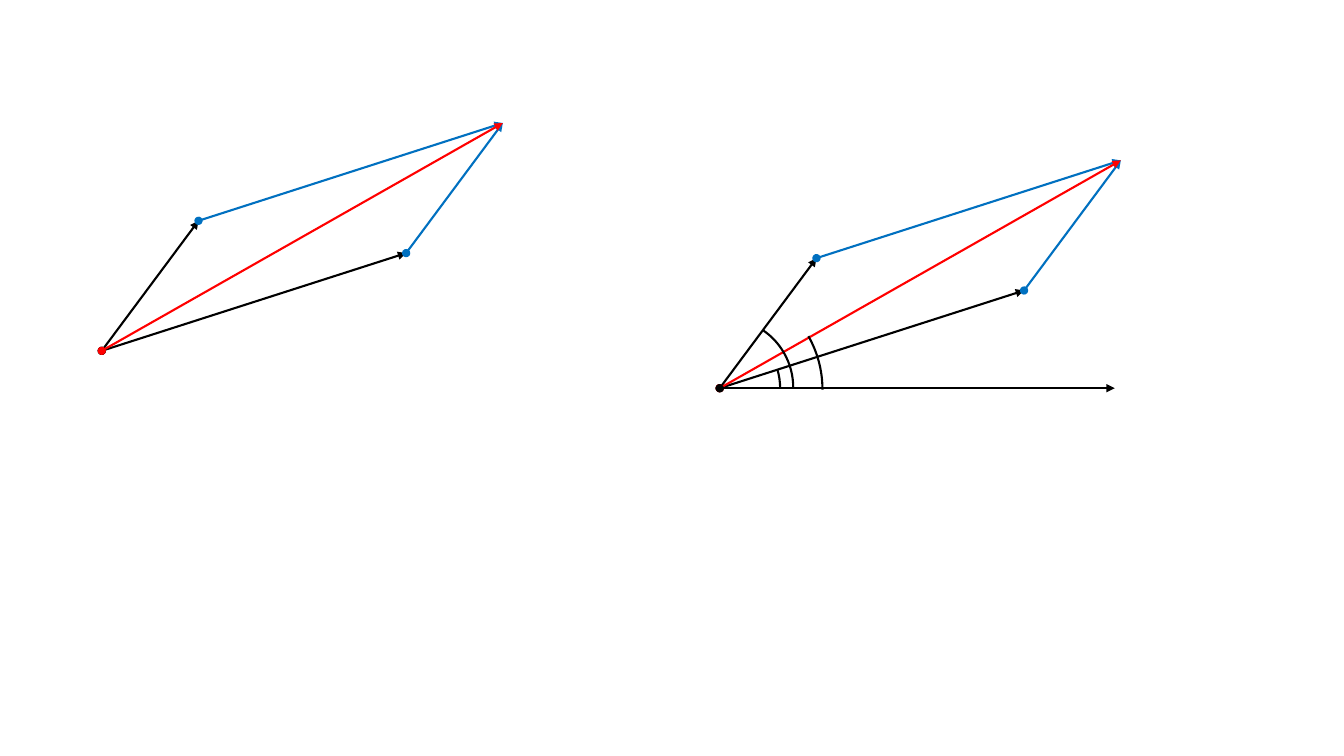
"""Draw vector addition by the parallelogram rule, plain and with angles."""
from dataclasses import dataclass
from typing import Union

from lxml import etree
from pptx import Presentation
from pptx.dml.color import RGBColor
from pptx.enum import shapes
from pptx.oxml import ns
from pptx.shapes.shapetree import GroupShapes, SlideShapes
from pptx.util import Pt

Canvas = Union[SlideShapes, GroupShapes]


@dataclass(frozen=True)
class Theme:
    vector: RGBColor = RGBColor(0x00, 0x00, 0x00)
    shifted: RGBColor = RGBColor(0x00, 0x70, 0xC0)
    total: RGBColor = RGBColor(0xFF, 0x00, 0x00)
    line_width: float = 1.5


@dataclass(frozen=True)
class Point:
    x: float
    y: float

    def __add__(self, other: "Point") -> "Point":
        return Point(self.x + other.x, self.y + other.y)


@dataclass(frozen=True)
class Arrow:
    start: Point
    end: Point
    color: RGBColor


@dataclass(frozen=True)
class AngleArc:
    left: float
    top: float
    width: float
    height: float
    start_degrees: float


THEME = Theme()
LONG_VECTOR = Point(217.4, -69.8)
SHORT_VECTOR = Point(69.1, -92.9)
AXIS = Point(282.2, 0)
LEFT_ORIGIN = Point(72.7, 250.6)
RIGHT_ORIGIN = Point(514.1, 277.3)
ANGLE_ARCS = (
    AngleArc(468, 231.1, 89.3, 92.9, 342.14),
    AngleArc(468.7, 227.5, 97.9, 98.6, 303.6),
    AngleArc(435.6, 201.6, 151.9, 153.4, 329.95),
)


def draw_arrow(canvas: Canvas, arrow: Arrow) -> None:
    """Draw a line from a round dot to an arrowhead."""
    connector = canvas.add_connector(
        shapes.MSO_CONNECTOR.STRAIGHT,
        Pt(arrow.start.x), Pt(arrow.start.y), Pt(arrow.end.x), Pt(arrow.end.y),
    )
    connector.line.color.rgb = arrow.color
    connector.line.width = Pt(THEME.line_width)
    properties = connector._element.spPr
    outline = properties.find(ns.qn("a:ln"))
    for tag, kind in (("a:headEnd", "oval"), ("a:tailEnd", "triangle")):
        etree.SubElement(outline, ns.qn(tag)).set("type", kind)
    etree.SubElement(properties, ns.qn("a:effectLst"))


def draw_parallelogram(canvas: Canvas, origin: Point) -> None:
    """Draw two vectors, their shifted copies and their sum."""
    long_tip = origin + LONG_VECTOR
    short_tip = origin + SHORT_VECTOR
    sum_tip = long_tip + SHORT_VECTOR
    for arrow in (
        Arrow(origin, long_tip, THEME.vector),
        Arrow(origin, short_tip, THEME.vector),
        Arrow(short_tip, sum_tip, THEME.shifted),
        Arrow(long_tip, sum_tip, THEME.shifted),
        Arrow(origin, sum_tip, THEME.total),
    ):
        draw_arrow(canvas, arrow)


def draw_angle_arc(canvas: Canvas, arc: AngleArc) -> None:
    """Draw an arc that ends on the horizontal axis."""
    shape = canvas.add_shape(
        shapes.MSO_SHAPE.ARC,
        Pt(arc.left), Pt(arc.top), Pt(arc.width), Pt(arc.height),
    )
    shape.adjustments[0] = arc.start_degrees * 0.6
    shape.adjustments[1] = 0
    shape.shadow.inherit = False
    shape.fill.background()
    shape.line.color.rgb = THEME.vector
    shape.line.width = Pt(THEME.line_width)


def main() -> None:
    """Build the slide and save the deck."""
    deck = Presentation()
    deck.slide_width, deck.slide_height = Pt(960), Pt(540)
    page = deck.slides.add_slide(deck.slide_layouts[6])
    draw_parallelogram(page.shapes, LEFT_ORIGIN)
    angle_figure = page.shapes.add_group_shape().shapes
    draw_parallelogram(angle_figure, RIGHT_ORIGIN)
    draw_arrow(angle_figure, Arrow(RIGHT_ORIGIN, RIGHT_ORIGIN + AXIS, THEME.vector))
    for arc in ANGLE_ARCS:
        draw_angle_arc(angle_figure, arc)
    deck.save("out.pptx")


if __name__ == "__main__":
    main()
